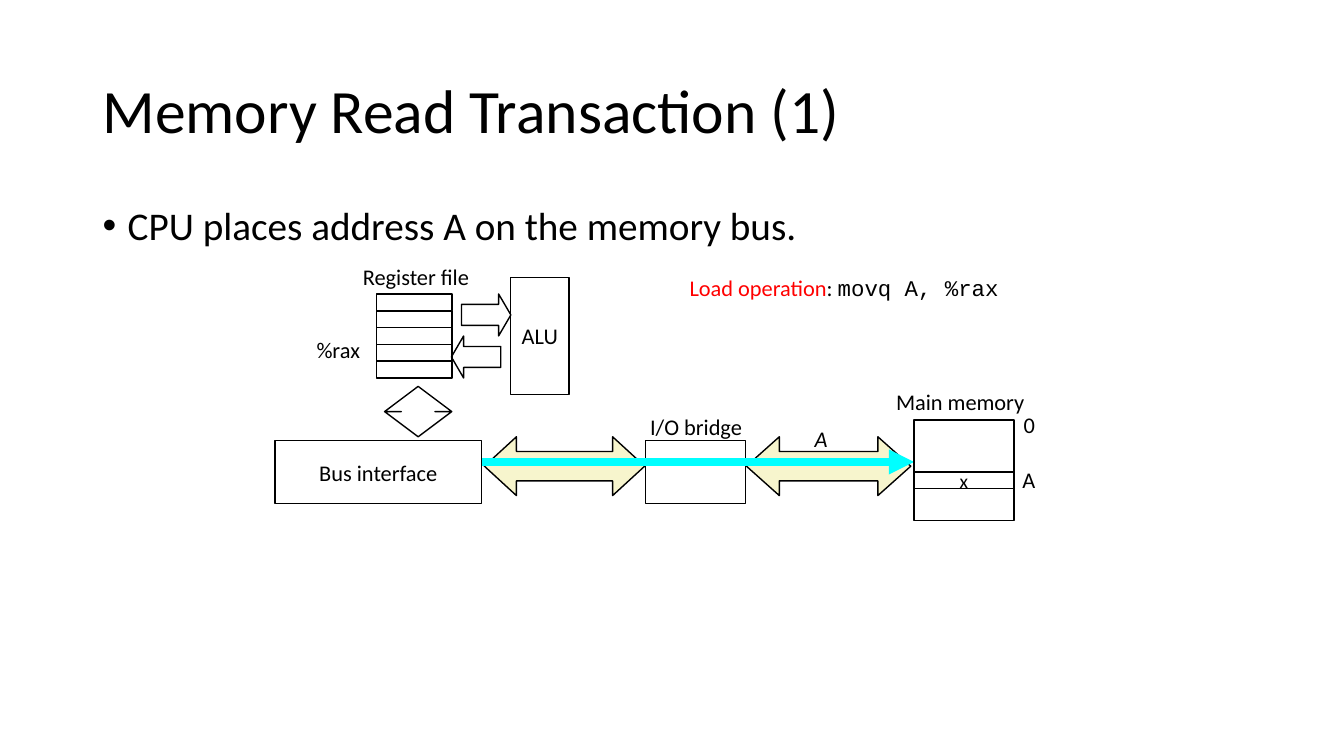
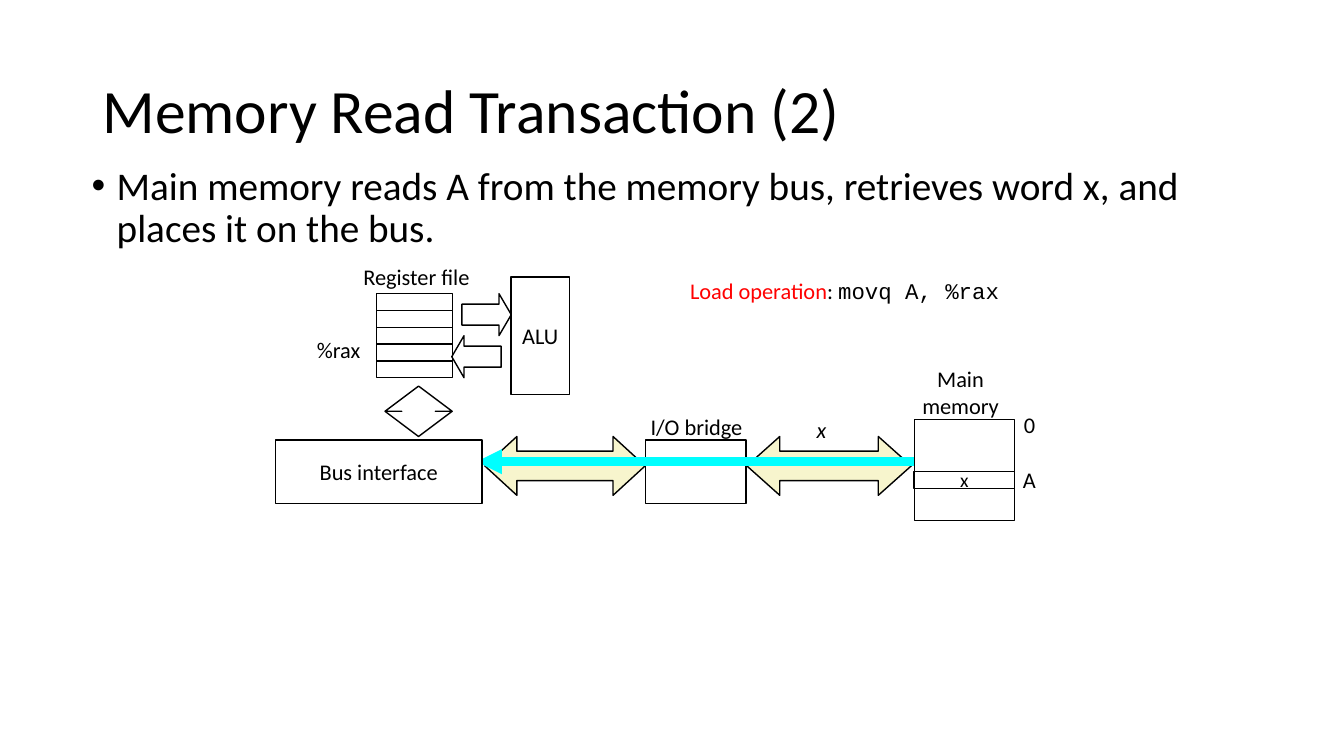
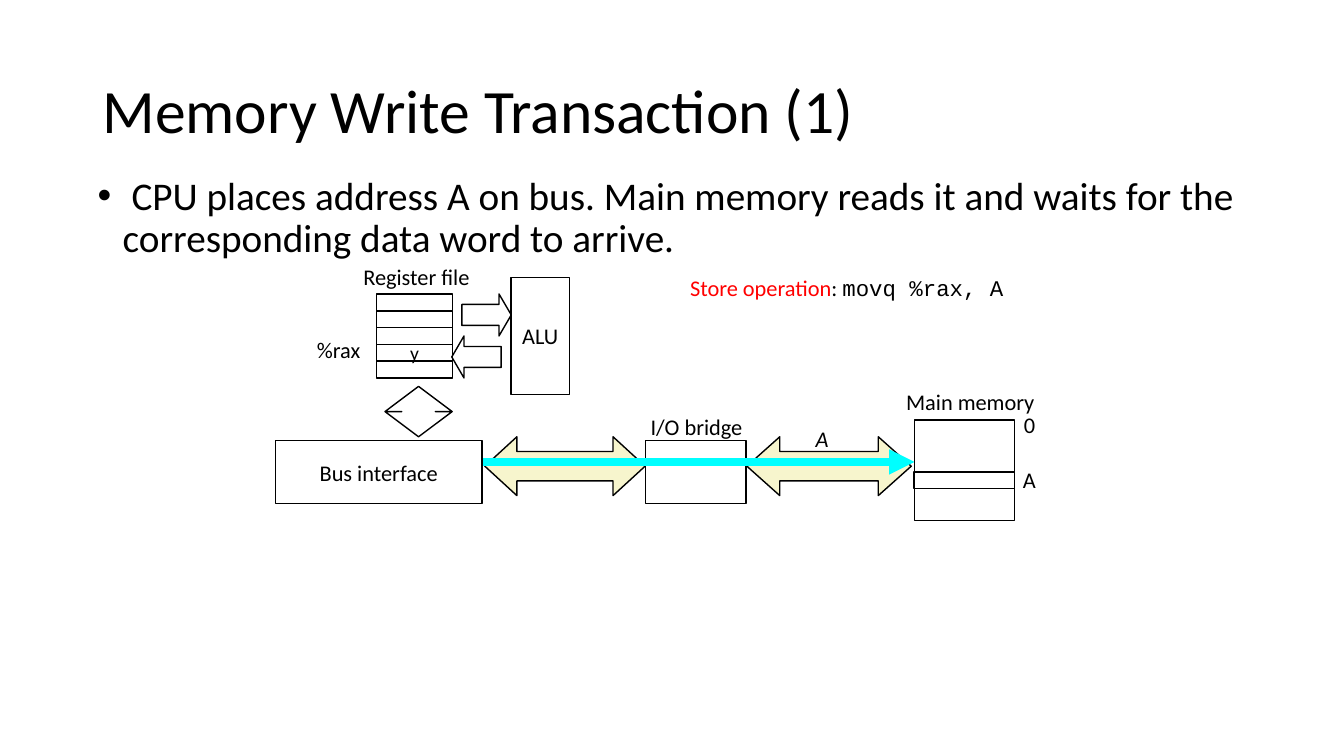
from dataclasses import dataclass

from lxml.etree import SubElement
from pptx import Presentation
from pptx.dml.color import RGBColor
from pptx.enum.shapes import MSO_CONNECTOR, MSO_SHAPE
from pptx.enum.text import MSO_ANCHOR, PP_ALIGN
from pptx.oxml.ns import qn
from pptx.util import Pt


@dataclass(frozen=True)
class Theme:
    """Colours, fonts and type sizes shared by all slides."""

    ink: RGBColor = RGBColor(0, 0, 0)
    paper: RGBColor = RGBColor(255, 255, 255)
    bus: RGBColor = RGBColor(0xF7, 0xF5, 0xCD)
    signal: RGBColor = RGBColor(0, 255, 255)
    accent: RGBColor = RGBColor(255, 0, 0)
    font: str = "Calibri"
    code: str = "Courier New"
    title: int = 44
    body: int = 28
    label: int = 16
    cell: int = 14
    outline: float = 1
    signal_width: float = 6


@dataclass(frozen=True)
class Step:
    """What one bus transaction slide shows; boxes are relative to the diagram."""

    title: str
    bullet: str
    bullet_at: tuple
    operation: str
    code: str
    payload: str
    payload_box: tuple
    memory_box: tuple
    caption_top: float = -5.8
    origin: tuple = (196.5, 198)
    register: str = ""
    word: str = ""
    to_memory: bool = True
    wrap_memory: bool = False


T = Theme()

STEPS = [
    Step("Memory Read Transaction (1)", "CPU places address A on the memory bus.",
         (66.2, 144), "Load operation", "movq A, %rax", "A",
         (378.5, 102.2, 23.8, 26.6), (436, 75.6, 107.3, 26.6),
         origin=(196.2, 198), word="x"),
    Step("Memory Read Transaction (2)",
         "Main memory reads A from the memory bus, retrieves word x, and places it on the bus.",
         (58.3, 115.2), "Load operation", "movq A, %rax", "x",
         (379.5, 95.8, 21.6, 26.6), (437.8, 59, 103.7, 46),
         caption_top=-3.6, origin=(196.5, 197.8), word="x",
         to_memory=False, wrap_memory=True),
    Step("Memory Write Transaction (1)",
         " CPU places address A on bus. Main memory reads it and waits for the corresponding "
         "data word to arrive.",
         (62.6, 122.4), "Store operation", "movq %rax, A", "A",
         (378.8, 102.2, 23.8, 26.6), (442.9, 75.6, 107.3, 26.6), register="y"),
]


def style(r, size, color=T.ink, font=T.font, italic=False):
    """Format a run."""
    r.font.size, r.font.name, r.font.italic = Pt(size), font, italic
    r.font.color.rgb = color


def write(sp, text, size, align=PP_ALIGN.CENTER, anchor=MSO_ANCHOR.MIDDLE,
          wrap=False, italic=False):
    """Put one paragraph into a shape and return it."""
    tf = sp.text_frame
    tf.text = text
    tf.word_wrap, tf.vertical_anchor = wrap, anchor
    p = tf.paragraphs[0]
    p.alignment = align
    for r in p.runs:
        style(r, size, italic=italic)
    return p


def add_text(s, box, text, size=T.label, **options):
    """Add a text box and return its paragraph."""
    return write(s.shapes.add_textbox(*map(Pt, box)), text, size, **options)


def add_block(s, box, kind=MSO_SHAPE.RECTANGLE, fill=None, adjust=(), text="", size=T.label):
    """Add an outlined shape with optional fill and text."""
    sp = s.shapes.add_shape(kind, *map(Pt, box))
    sp.shadow.inherit = False
    for i, value in enumerate(adjust):
        sp.adjustments[i] = value
    if fill is None:
        sp.fill.background()
    else:
        sp.fill.solid()
        sp.fill.fore_color.rgb = fill
    sp.line.color.rgb, sp.line.width = T.ink, Pt(T.outline)
    if text:
        write(sp, text, size)


def add_signal(s, x1, x2, y, to_memory):
    """Draw the signal along the bus, with its arrowhead on the receiving side."""
    line = s.shapes.add_connector(MSO_CONNECTOR.STRAIGHT, Pt(x1), Pt(y), Pt(x2), Pt(y))
    line.line.color.rgb, line.line.width = T.signal, Pt(T.signal_width)
    end = "a:tailEnd" if to_memory else "a:headEnd"
    SubElement(line.line._get_or_add_ln(), qn(end), type="triangle")
    SubElement(line._element.spPr, qn("a:effectLst"))


def heading(s, step):
    """Add the title and its bullet."""
    p = add_text(s, (66.2, 28.8, 828, 104.4), step.title, T.title,
                 align=PP_ALIGN.LEFT, wrap=True)
    p.line_spacing = 0.9
    p = add_text(s, (*step.bullet_at, 828, 343), step.bullet, T.body,
                 align=PP_ALIGN.LEFT, anchor=MSO_ANCHOR.TOP, wrap=True)
    p.line_spacing, p.space_before = 0.9, Pt(10)
    pPr = p._p.get_or_add_pPr()
    pPr.set("marL", str(Pt(18)))
    pPr.set("indent", str(-Pt(18)))
    SubElement(pPr, qn("a:buFont"), typeface="Arial")
    SubElement(pPr, qn("a:buChar"), char="•")


def cpu(s, x, y, step):
    """Draw the register file, the ALU and the arrows that join them."""
    height, count, rax = 12, 5, 3
    for i in range(count):
        add_block(s, (x + 72.6, y + height * (i + 1), 54, height),
                  text=step.register if i == rax else "", size=T.cell)
    exchange = (0.5, 0.292)
    add_block(s, (x + 133.4, y + 12, 35.3, 30), MSO_SHAPE.RIGHT_ARROW, adjust=exchange)
    add_block(s, (x + 126.2, y + 42, 35.3, 30), MSO_SHAPE.LEFT_ARROW, adjust=exchange)
    add_block(s, (x + 168.4, y, 42, 84), text="ALU")
    add_block(s, (x + 78.5, y + 78, 48, 36), MSO_SHAPE.UP_DOWN_ARROW, adjust=(0.2, 0.5))
    add_text(s, (x + 55.3, y - 13.4, 91.4, 26.6), "Register file")
    add_text(s, (x + 22.4, y + 38.4, 46, 26.6), "%rax")


def bus(s, x, y, step):
    """Draw the bus from its interface across the bridge to the memory."""
    for left, width, head in ((149.8, 114.5, 0.545), (337, 117.4, 0.56)):
        add_block(s, (x + left, y + 114, width, 42), MSO_SHAPE.LEFT_RIGHT_ARROW,
                  T.bus, (0.5, head))
    add_block(s, (x + 264.8, y + 116.5, 71.5, 45.4))
    add_signal(s, x + 144, x + 456.7, y + 132, step.to_memory)
    add_block(s, (x + 0.2, y + 116.5, 147.6, 45.4), fill=T.paper, text="Bus interface")
    add_text(s, (x + 260.7, y + 93.6, 80.6, 26.6), "I/O bridge")
    left, top, *size = step.payload_box
    add_text(s, (x + left, y + top, *size), step.payload, italic=True)


def memory(s, x, y, step):
    """Draw the main memory with its addressed word."""
    add_block(s, (x + 456.7, y + 102, 71.5, 72))
    add_block(s, (x + 456.4, y + 139, 71.8, 12), text=step.word, size=T.cell)
    add_text(s, (x + 527.8, y + 92.2, 23, 26.6), "0", align=PP_ALIGN.LEFT)
    add_text(s, (x + 527.1, y + 131.6, 23.8, 26.6), "A", align=PP_ALIGN.LEFT)
    left, top, *size = step.memory_box
    add_text(s, (x + left, y + top, *size), "Main memory", wrap=step.wrap_memory)


def caption(s, x, y, step):
    """Name the operation and show its instruction."""
    p = add_text(s, (x + 289.3, y + step.caption_top, 240, 46), step.operation,
                 align=PP_ALIGN.LEFT, anchor=MSO_ANCHOR.TOP)
    p.runs[0].font.color.rgb = T.accent
    for text, font in ((": ", T.font), (step.code, T.code)):
        r = p.add_run()
        r.text = text
        style(r, T.label, font=font)


def transaction(prs, step):
    """Build one transaction slide."""
    s = prs.slides.add_slide(prs.slide_layouts[6])
    heading(s, step)
    for part in (cpu, bus, memory, caption):
        part(s, *step.origin, step)


def main():
    """Build and save the presentation."""
    prs = Presentation()
    prs.slide_width, prs.slide_height = Pt(960), Pt(540)
    for step in STEPS:
        transaction(prs, step)
    prs.save("out.pptx")


if __name__ == "__main__":
    main()
